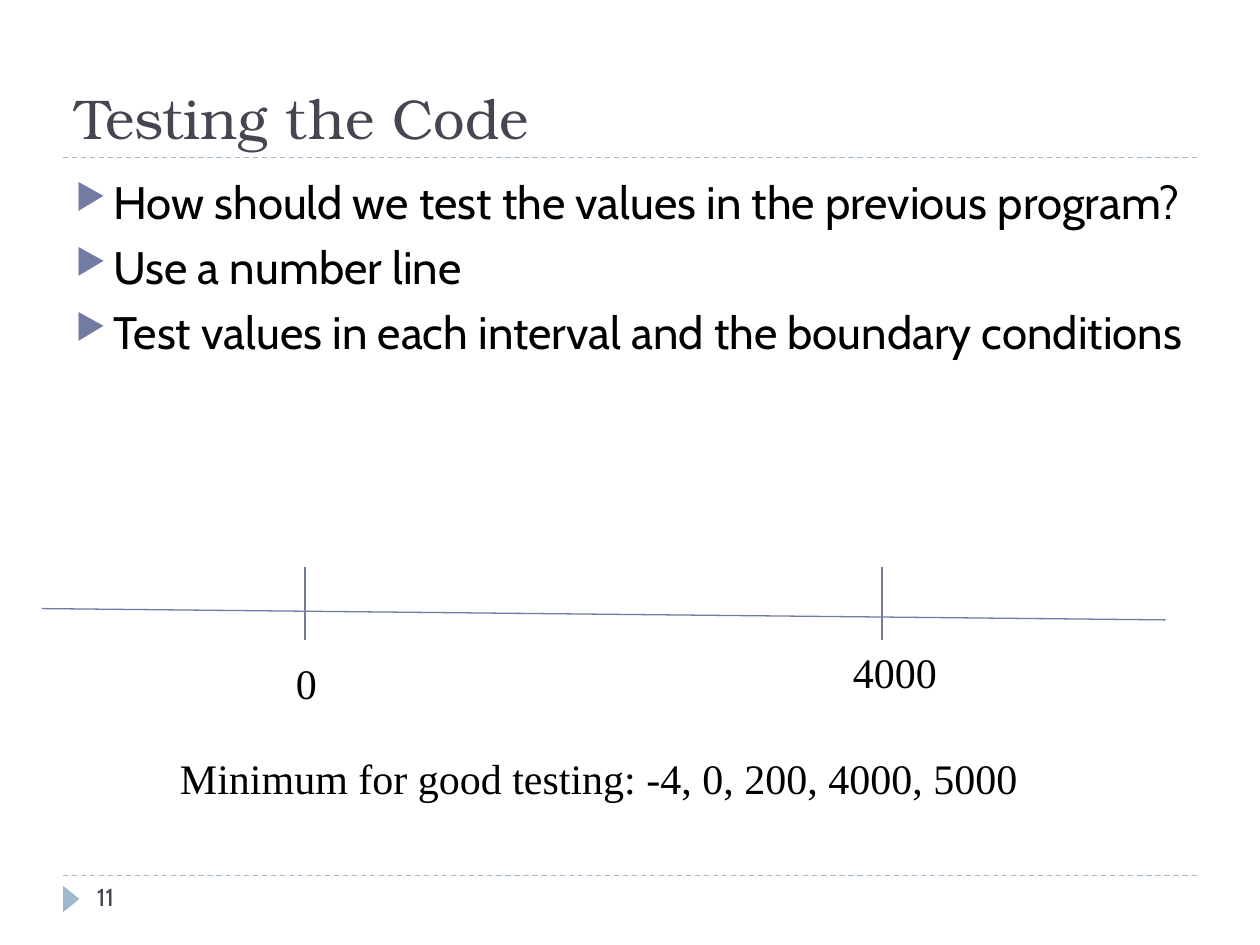
import pptx
import pptx.util
import pptx.dml.color
import pptx.enum.dml
import pptx.enum.shapes
import pptx.enum.text
import pptx.oxml
import pptx.oxml.ns
from dataclasses import dataclass

Inches = pptx.util.Inches
Pt = pptx.util.Pt
RGB = pptx.dml.color.RGBColor.from_string
Align = pptx.enum.text.PP_ALIGN
Anchor = pptx.enum.text.MSO_ANCHOR


@dataclass
class Theme:
    dark: str = "464653"
    ink: str = "000000"
    blue: str = "727CA3"
    pale: str = "9FB8CD"
    head: str = "TeX Gyre Bonum"
    body: str = "Cabin"
    note: str = "Times New Roman"
    title: int = 32
    point: int = 26
    label: int = 24
    page: int = 14


theme = Theme()
deck = pptx.Presentation()
deck.slide_width, deck.slide_height = Inches(10), Inches(7.5)
slide = deck.slides.add_slide(deck.slide_layouts[5])


def write(shape, lines, font, size, color):
    frame = shape.text_frame
    frame.text = "\n".join(lines)
    frame.word_wrap = True
    for para in frame.paragraphs:
        para.alignment = Align.LEFT
        for run in para.runs:
            run.font.name = font
            run.font.size = Pt(size)
            run.font.color.rgb = RGB(color)
    return frame


def draw(x1, y1, x2, y2, color):
    line = slide.shapes.add_connector(
        pptx.enum.shapes.MSO_CONNECTOR.STRAIGHT,
        Inches(x1), Inches(y1), Inches(x2), Inches(y2))
    line.line.color.rgb = RGB(color)
    line.line.width = Pt(0.75)
    line._element.spPr.append(pptx.oxml.parse_xml(
        "<a:effectLst %s/>" % pptx.oxml.ns.nsdecls("a")))
    return line


# Dashed rules and page marker
for y in (6.95, 1.25):
    rule = draw(0.5, y, 9.5, y, theme.pale)
    rule.line.dash_style = pptx.enum.dml.MSO_LINE.DASH

mark = slide.shapes.add_shape(
    pptx.enum.shapes.MSO_SHAPE.ISOSCELES_TRIANGLE,
    Inches(0.46), Inches(7.07), Inches(0.21), Inches(0.13))
mark.rotation = 90
mark.shadow.inherit = False
mark.fill.solid()
mark.fill.fore_color.rgb = RGB(theme.pale)
mark.line.fill.background()

# Title
title = slide.shapes.title
title.left, title.top = Inches(0.5), Inches(0.17)
title.width, title.height = Inches(9), Inches(1.08)
frame = write(title, ["Testing the Code"], theme.head, theme.title, theme.dark)
frame.vertical_anchor = Anchor.BOTTOM

# Page number
page = slide.shapes.add_textbox(
    Inches(0.67), Inches(6.95), Inches(2.17), Inches(0.4))
write(page, ["11"], theme.body, theme.page, theme.dark)

# Bullet points
points = [
    "How should we test the values in the previous program?",
    "Use a number line",
    "Test values in each interval and the boundary conditions",
]
body = slide.shapes.add_textbox(
    Inches(0.5), Inches(1.33), Inches(9), Inches(5.4))
frame = write(body, points, theme.body, theme.point, theme.ink)
for para in frame.paragraphs:
    para.space_before = Pt(6)
    props = para._p.get_or_add_pPr()
    props.set("marL", str(Inches(0.3)))
    props.set("indent", str(-Inches(0.3)))
    space = pptx.oxml.ns.nsdecls("a")
    for xml in (
        f'<a:buClr {space}><a:srgbClr val="{theme.blue}"/></a:buClr>',
        f'<a:buSzPct {space} val="76000"/>',
        f'<a:buChar {space} char="▶"/>',
    ):
        props.append(pptx.oxml.parse_xml(xml))

# Number line with a tick at each boundary
draw(0.33, 4.83, 9.25, 4.92, theme.blue)
for x in (2.42, 7):
    draw(x, 4.5, x, 5.08, theme.blue)

# Boundary labels and test values
labels = [
    ("0", 2.25, 5.17, 0.33),
    ("4000", 6.67, 5.08, 1.17),
    ("Minimum for good testing: -4, 0, 200, 4000, 5000", 1.33, 5.92, 6.91),
]
for text, x, y, width in labels:
    box = slide.shapes.add_textbox(
        Inches(x), Inches(y), Inches(width), Inches(0.5))
    frame = write(box, [text], theme.note, theme.label, theme.ink)
    frame.auto_size = pptx.enum.text.MSO_AUTO_SIZE.SHAPE_TO_FIT_TEXT
frame.word_wrap = False

deck.save("out.pptx")
